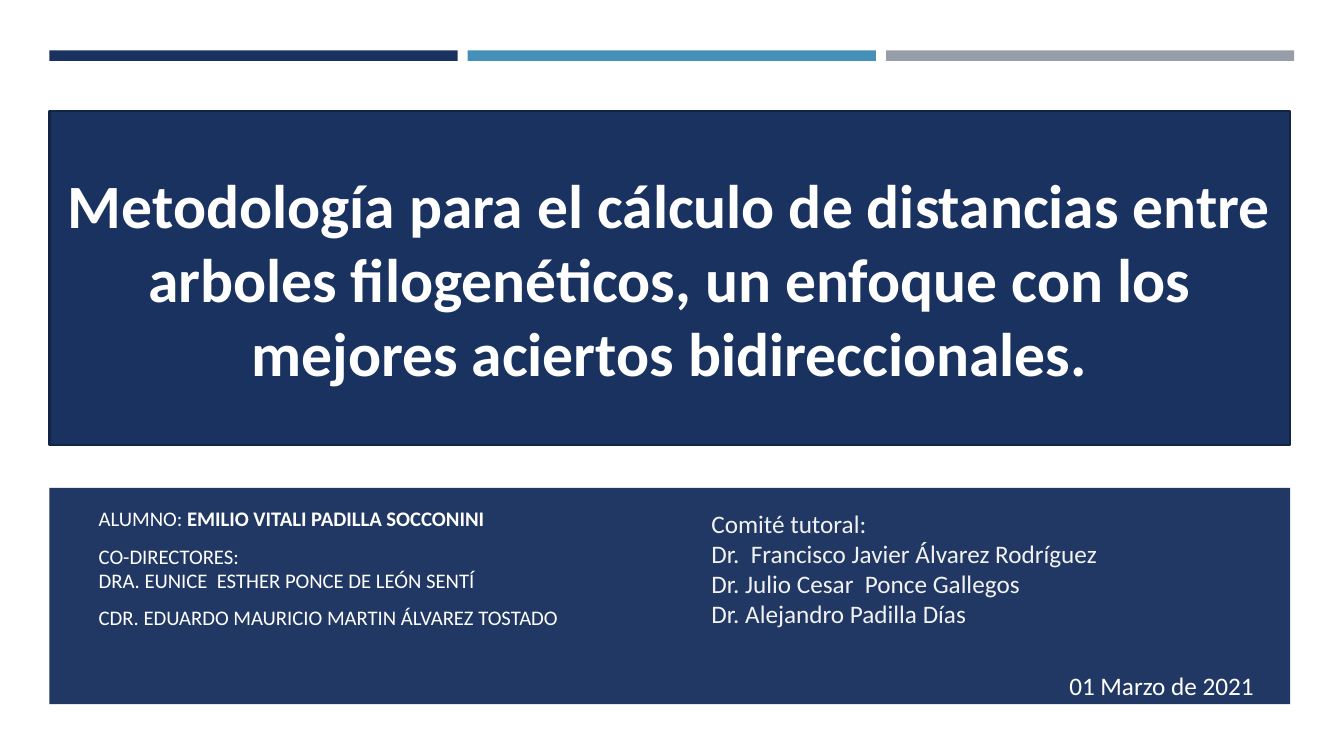
from lxml.etree import SubElement
from pptx import Presentation
from pptx.dml.color import RGBColor
from pptx.enum.shapes import MSO_SHAPE
from pptx.enum.text import MSO_ANCHOR, MSO_AUTO_SIZE, PP_ALIGN
from pptx.oxml.ns import qn
from pptx.util import Pt

# Content: each paragraph is a list of (text, bold) runs
TITLE = [[("Metodología para el cálculo de distancias entre arboles filogenéticos, "
           "un enfoque con los mejores aciertos bidireccionales.", True)]]
AUTHORS = [
    [("ALUMNO: ", False), ("EMILIO VITALI PADILLA SOCCONINI", True)],
    [("CO-DIRECTORES:\nDRA. EUNICE  ESTHER PONCE DE LEÓN SENTÍ", False)],
    [("CDR. EDUARDO MAURICIO MARTIN ÁLVAREZ TOSTADO", False)],
]
COMMITTEE = [
    [("Comité tutoral:\nDr.  Francisco Javier Álvarez Rodríguez", False)],
    [("Dr. Julio Cesar  Ponce Gallegos", False)],
    [("Dr. Alejandro Padilla Días", False)],
]
DATE = [[("01 Marzo de 2021", False)]]

NAVY, BLUE, GRAY = "1A3260", "4590B8", "969FA7"
OUTLINE, WHITE, PALE = "132547", "FFFFFF", "F2F2F2"

# Layout in points
LEFT, PANEL_WIDTH = 35.3, 886.3
BAR_TOP, BAR_WIDTH, BAR_HEIGHT, BAR_GAP = 36, 291.6, 7.5, 7.2


def color(value):
    return RGBColor.from_string(value)


def place(shape, left, top, width, height):
    shape.left, shape.top = Pt(left), Pt(top)
    shape.width, shape.height = Pt(width), Pt(height)


def add_panel(left, top, width, height, fill):
    shape = slide.shapes.add_shape(
        MSO_SHAPE.RECTANGLE, Pt(left), Pt(top), Pt(width), Pt(height))
    shape.shadow.inherit = False
    shape.fill.solid()
    shape.fill.fore_color.rgb = color(fill)
    shape.line.fill.background()
    return shape


def write(frame, paragraphs, size, fill=WHITE, align=PP_ALIGN.LEFT,
          anchor=MSO_ANCHOR.TOP, before=0, after=0, spacing=1.0):
    frame.word_wrap = True
    frame.auto_size = MSO_AUTO_SIZE.NONE
    frame.vertical_anchor = anchor
    for index, runs in enumerate(paragraphs):
        paragraph = frame.add_paragraph() if index else frame.paragraphs[0]
        paragraph.alignment = align
        paragraph.line_spacing = spacing
        paragraph.space_before, paragraph.space_after = Pt(before), Pt(after)
        for text, bold in runs:
            for number, line in enumerate(text.split("\n")):
                if number:
                    paragraph.add_line_break()
                run = paragraph.add_run()
                run.text = line
                run.font.name, run.font.size = "Calibri", Pt(size)
                run.font.bold = bold
                run.font.color.rgb = color(fill)


def add_text(left, top, width, height, paragraphs, **text_format):
    box = slide.shapes.add_textbox(Pt(left), Pt(top), Pt(width), Pt(height))
    write(box.text_frame, paragraphs, **text_format)


presentation = Presentation()
presentation.slide_width, presentation.slide_height = Pt(960), Pt(540)
slide = presentation.slides.add_slide(presentation.slide_layouts[5])

# Title in a panel with two snipped corners
title = slide.shapes.title
place(title, LEFT, 79.2, PANEL_WIDTH, 238.5)
geometry = SubElement(title.element.spPr, qn("a:prstGeom"), prst="snip2DiagRect")
SubElement(geometry, qn("a:avLst"))
title.fill.solid()
title.fill.fore_color.rgb = color(NAVY)
title.line.color.rgb = color(OUTLINE)
title.line.width = Pt(1.75)
write(title.text_frame, TITLE, size=44, align=PP_ALIGN.CENTER,
      anchor=MSO_ANCHOR.MIDDLE)

# Three bars along the top
for column, fill in enumerate((NAVY, BLUE, GRAY)):
    add_panel(LEFT + column * (BAR_WIDTH + BAR_GAP), BAR_TOP,
              BAR_WIDTH, BAR_HEIGHT, fill)

# Lower panel, slightly transparent
panel = add_panel(LEFT, 348.5, PANEL_WIDTH, 154.5, NAVY)
panel_color = panel.element.spPr.find(qn("a:solidFill")).find(qn("a:srgbClr"))
SubElement(panel_color, qn("a:alpha"), val="97000")

# Authors, committee and date
add_text(63.4, 359.3, 395.3, 115.9, AUTHORS, size=14.8,
         before=4, after=6, spacing=0.95)
add_text(501.1, 359.3, 372.2, 94.3, COMMITTEE, size=18, fill=PALE)
add_text(756.7, 475.2, 160, 28.8, DATE, size=18)

presentation.save("out.pptx")
